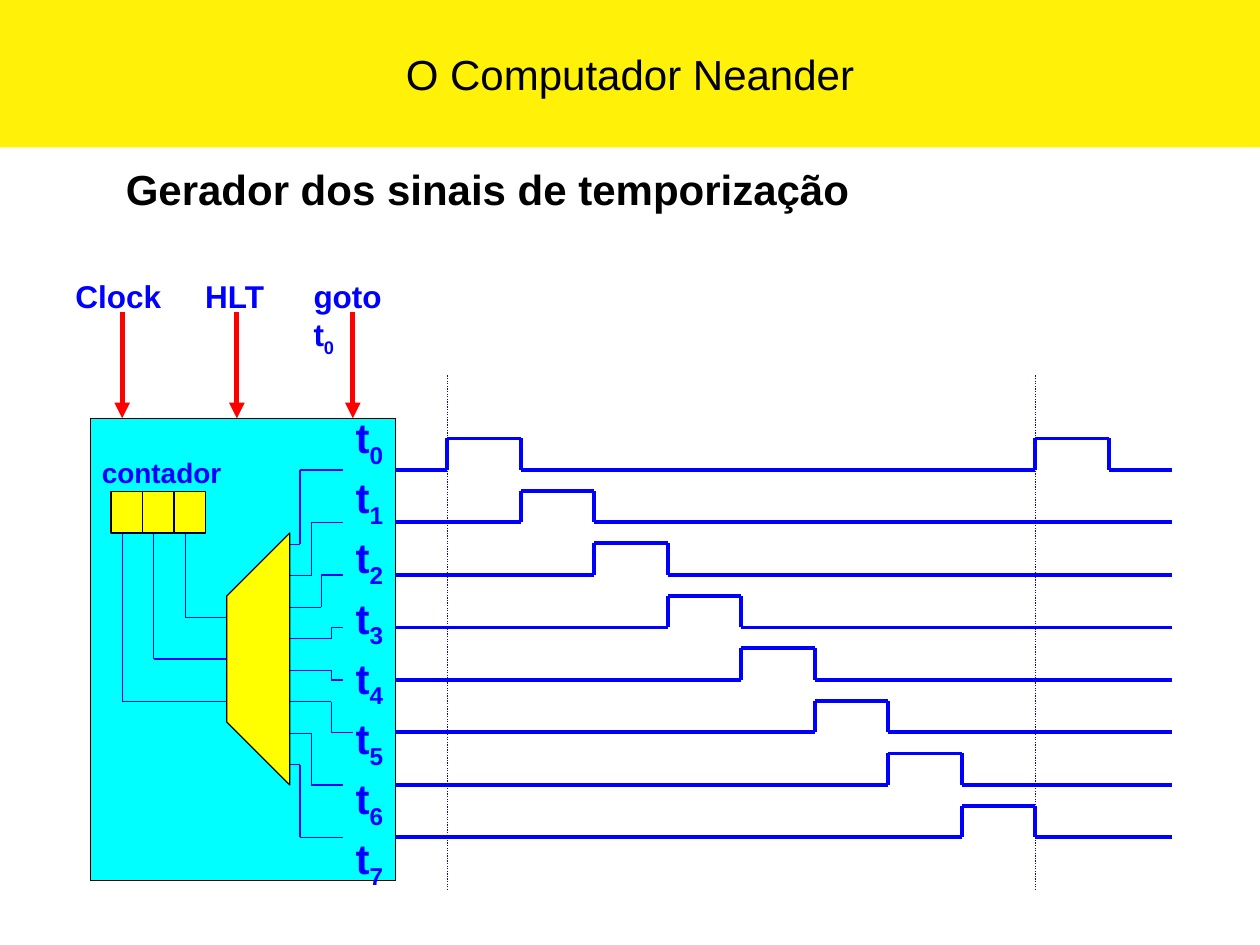
from itertools import pairwise
from lxml import etree
from pptx import Presentation, util as u
from pptx.dml import color as c
from pptx.enum import dml, shapes, text
from pptx.oxml import ns

inch = u.Inches
hues = {"band": "FFF108", "ink": "000000", "blue": "0000FF",
        "red": "FF0000", "cyan": "00FFFF", "gold": "FFFF00"}
hues = {name: c.RGBColor.from_string(code) for name, code in hues.items()}
base = {"name": "Arial", "bold": True}


def wire(points, hue="blue", width=0.75, dash=None, tip=False):
    for (x1, y1), (x2, y2) in pairwise(points):
        line = slide.shapes.add_connector(
            shapes.MSO_CONNECTOR.STRAIGHT, inch(x1), inch(y1), inch(x2), inch(y2))
        line.line.color.rgb = hues[hue]
        line.line.width = u.Pt(width)
        if dash:
            line.line.dash_style = dash
        if tip:
            etree.SubElement(line.line._get_or_add_ln(), ns.qn("a:tailEnd"), type="triangle")
        etree.SubElement(line._element.spPr, ns.qn("a:effectLst"))


def write(para, words, size, hue="blue", sub="", bold=True):
    for part, drop in ((words, False), (sub, True)):
        if part:
            run = para.add_run()
            run.text = part
            form = base | {"size": u.Pt(size), "bold": bold}
            for key, value in form.items():
                setattr(run.font, key, value)
            run.font.color.rgb = hues[hue]
            if drop:
                run._r.get_or_add_rPr().set("baseline", "-25000")


deck = Presentation()
deck.slide_width, deck.slide_height = inch(10), inch(7.5)
slide = deck.slides.add_slide(deck.slide_layouts[5])

title = slide.shapes.title
place = {"left": 0, "top": 0, "width": inch(10), "height": inch(1.17)}
for key, value in place.items():
    setattr(title, key, value)
title.fill.solid()
title.fill.fore_color.rgb = hues["band"]
title.text_frame.vertical_anchor = text.MSO_ANCHOR.MIDDLE
para = title.text_frame.paragraphs[0]
para.alignment = text.PP_ALIGN.CENTER
write(para, "O Computador Neander", 24, "ink", bold=False)

count, start, end = 8, 3.13, 9.3
first, slot, rise = 3.55, 7 / 12, 0.25
rows = [3.73 + i * 5 / 12 for i in range(count)]
for i, low in enumerate(rows):
    points = [(start, low)]
    for turn in ((0, count) if i == 0 else (i,)):
        left = first + turn * slot
        right = left + slot
        points += [(left, low), (left, low - rise), (right, low - rise), (right, low)]
    wire(points + [(end, low)], width=2.25)

boxes = [("cyan", 0.72, 3.32, 2.42, 3.67)]
boxes += [("gold", 0.88 + 0.25 * i, 3.9, 0.25, 0.33) for i in range(3)]
parts = []
for hue, *spot in boxes:
    box = slide.shapes.add_shape(shapes.MSO_SHAPE.RECTANGLE, *map(inch, spot))
    parts.append((box, hue))
block = parts[0][0]

mux = slide.shapes.build_freeform(inch(2.3), inch(4.23))
mux.add_line_segments([(inch(x), inch(y)) for x, y in
                       ((2.3, 6.23), (1.8, 5.73), (1.8, 4.73))], close=True)
parts.append((mux.convert_to_shape(), "gold"))
for part, hue in parts:
    part.fill.solid()
    part.fill.fore_color.rgb = hues[hue]
    part.line.color.rgb = hues["ink"]
    part.line.width = u.Pt(0.75)
    part.shadow.inherit = False

frame = block.text_frame
frame.word_wrap = True
frame.vertical_anchor = text.MSO_ANCHOR.MIDDLE
for i in range(count):
    para = frame.add_paragraph() if i else frame.paragraphs[0]
    para.alignment = text.PP_ALIGN.RIGHT
    para.line_spacing = 1.05
    write(para, "t", 24, sub=str(i))

for x, y in ((1.47, 4.9), (1.22, 5.23), (0.97, 5.57)):
    wire([(x, 4.23), (x, y), (1.8, y)])

bends = (2.38, 2.47, 2.55, 2.63, 2.63, 2.63, 2.47, 2.38)
for i, (bend, row) in enumerate(zip(bends, rows)):
    port = 4.32 + 0.25 * i
    stop = 2.8 if i == 5 else 2.72
    wire([(2.3, port), (bend, port), (bend, row), (stop, row)])

for x in (0.97, 1.88, 2.8):
    wire([(x, 2.48), (x, 3.32)], "red", 3, tip=True)
for x in (first, first + count * slot):
    wire([(x, 2.98), (x, 7.07)], dash=dml.MSO_LINE.ROUND_DOT)

labels = [
    ("Clock", "", 18, "blue", 0.5, 2.15, 0.88, 0.4),
    ("HLT", "", 18, "blue", 1.53, 2.15, 0.68, 0.4),
    ("goto t", "0", 18, "blue", 2.39, 2.15, 0.97, 0.44),
    ("contador", "", 16, "blue", 0.71, 3.57, 1.15, 0.37),
    ("Gerador dos sinais de temporização", "", 24, "ink", 0.9, 1.25, 5.94, 0.5),
]
for words, sub, size, hue, *spot in labels:
    frame = slide.shapes.add_textbox(*map(inch, spot)).text_frame
    frame.word_wrap = False
    frame.auto_size = text.MSO_AUTO_SIZE.SHAPE_TO_FIT_TEXT
    write(frame.paragraphs[0], words, size, hue, sub)

deck.save("out.pptx")
